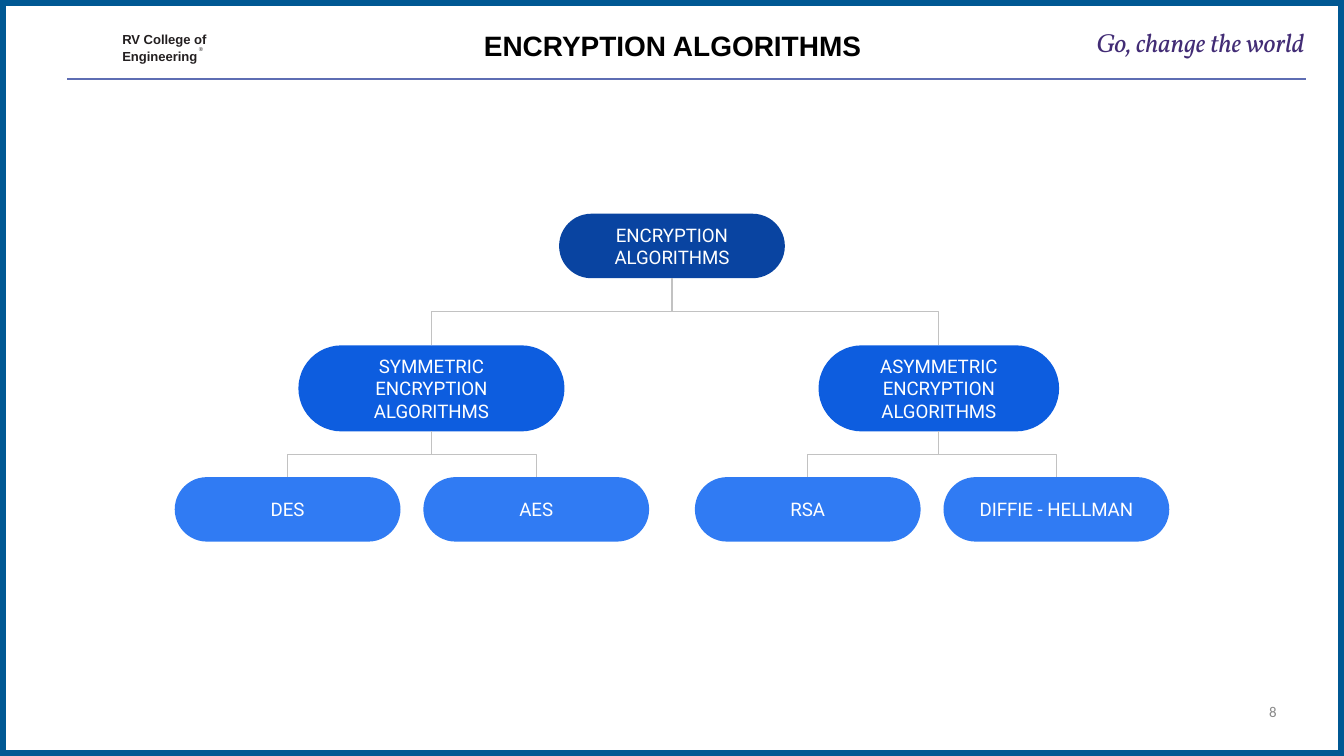
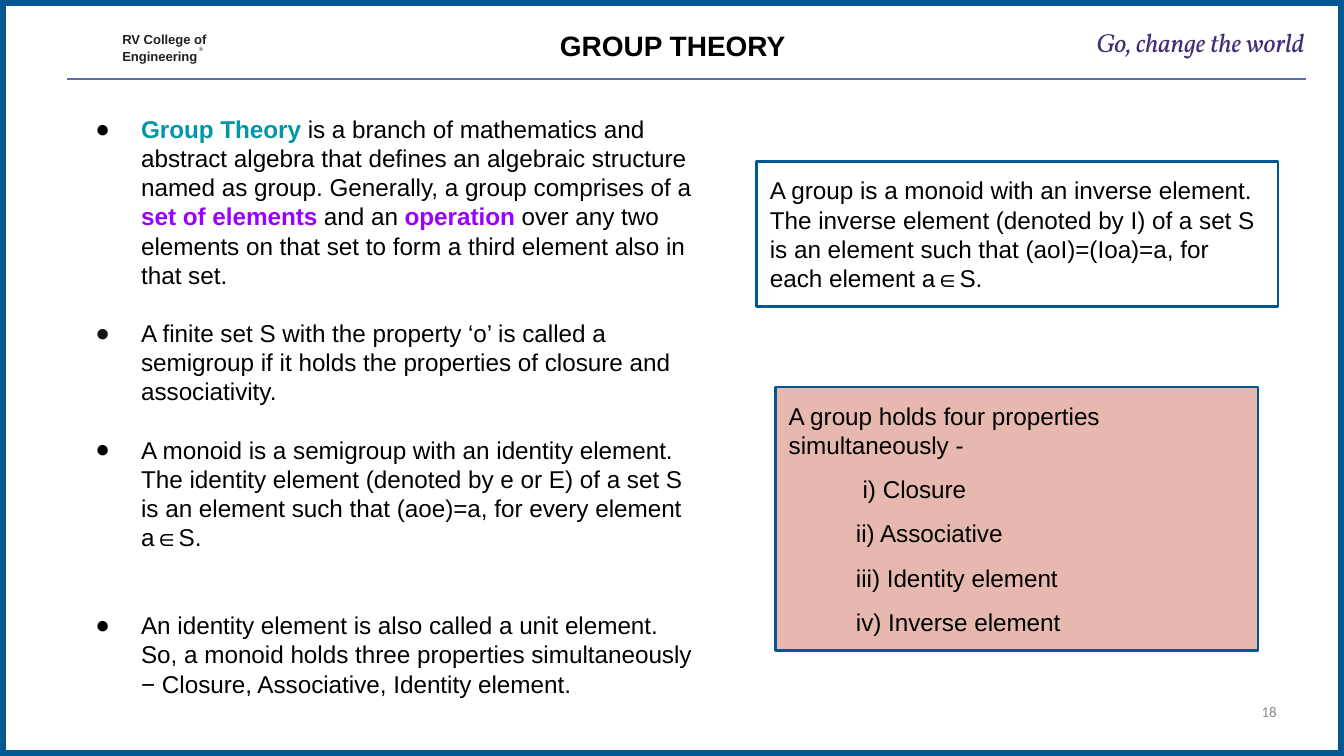
from dataclasses import dataclass
from typing import Any, NamedTuple

from lxml import etree
from pptx import Presentation
from pptx import util as u
from pptx.dml.color import RGBColor
from pptx.enum import shapes, text
from pptx.oxml.ns import qn

PX = 9144  # one px is a hundredth of an inch
KIND = shapes.MSO_SHAPE
WIRE = shapes.MSO_CONNECTOR
ALIGN = text.PP_ALIGN
ANCHOR = text.MSO_ANCHOR


@dataclass(frozen=True)
class Theme:
    white: str = "FFFFFF"
    black: str = "000000"
    frame: str = "005893"
    rule: str = "5E6DB3"
    brand: str = "231F20"
    motto: str = "422C75"
    page: str = "898989"
    wire: str = "C2C2C2"
    root: str = "0944A1"
    branch: str = "0D5DDF"
    leaf: str = "307BF3"
    rose: str = "E6B8AF"
    teal: str = "0097A7"
    violet: str = "9900FF"
    dot: str = "151515"
    sans: str = "Arial"
    tree: str = "Roboto"
    serif: str = "Vollkorn"
    foot: str = "Calibri"
    title_pt: int = 15
    motto_pt: int = 14
    body_pt: int = 13
    tree_pt: int = 10
    page_pt: int = 8
    brand_pt: int = 7
    mark_pt: int = 3


T = Theme()


class Box(NamedTuple):
    x: float
    y: float
    w: float
    h: float

    @property
    def mid(self) -> float:
        return self.x + self.w / 2

    @property
    def base(self) -> float:
        return self.y + self.h


class Node(NamedTuple):
    label: str
    box: Box
    fill: str
    kids: tuple = ()


class Point(NamedTuple):
    runs: tuple  # (text, colour) pairs; coloured runs are bold
    before: float = 0
    dot: str = T.black


def emu(px: float) -> u.Emu:
    return u.Emu(round(px * PX))


def rgb(code: str) -> RGBColor:
    return RGBColor.from_string(code)


# Text

def setup(frame: Any, pad: int = 0, anchor: Any = ANCHOR.TOP) -> Any:
    frame.word_wrap = True
    frame.auto_size = text.MSO_AUTO_SIZE.NONE
    frame.vertical_anchor = anchor
    frame.margin_left = frame.margin_right = emu(pad)
    frame.margin_top = frame.margin_bottom = emu(pad)
    return frame


def write(para: Any, words: str, *, size: float = T.body_pt, color: str = T.black,
          face: str = T.sans, bold: bool = False, slant: bool = False) -> None:
    run = para.add_run()
    run.text = words
    font = run.font
    font.name, font.size = face, u.Pt(size)
    font.bold, font.italic = bold, slant
    font.color.rgb = rgb(color)


def line(frame: Any, words: str = "", *, align: Any = ALIGN.LEFT, before: float = 0,
         after: float = 0, lead: float = 1.0, left: int = 0, hang: int = 0,
         dot: str = "", **style: Any) -> Any:
    """Add a paragraph, using the first one while it is still empty."""
    para = frame.paragraphs[0]
    if para.runs:
        para = frame.add_paragraph()
    para.alignment, para.line_spacing = align, lead
    para.space_before, para.space_after = u.Pt(before), u.Pt(after)
    props = para._p.get_or_add_pPr()
    props.set("marL", str(emu(left)))
    props.set("indent", str(emu(-hang)))
    if dot:
        tint = etree.SubElement(props, qn("a:buClr"))
        etree.SubElement(tint, qn("a:srgbClr")).set("val", dot)
        etree.SubElement(props, qn("a:buChar")).set("char", "●")
    if words:
        write(para, words, **style)
    return para


def label(slide: Any, box: Box) -> Any:
    return setup(slide.shapes.add_textbox(*map(emu, box)).text_frame)


def place(shape: Any, box: Box) -> None:
    shape.left, shape.top, shape.width, shape.height = map(emu, box)


# Shapes

def block(slide: Any, kind: Any, box: Box, fill: str, edge: str = "",
          width: float = 0) -> Any:
    shape = slide.shapes.add_shape(kind, *map(emu, box))
    shape.shadow.inherit = False
    shape.fill.solid()
    shape.fill.fore_color.rgb = rgb(fill)
    if edge:
        shape.line.color.rgb = rgb(edge)
        shape.line.width = u.Pt(width)
    else:
        shape.line.fill.background()
    setup(shape.text_frame, 10, ANCHOR.MIDDLE)
    return shape


def wire(slide: Any, kind: Any, box: Box, color: str, width: float) -> Any:
    conn = slide.shapes.add_connector(
        kind, emu(box.x), emu(box.y), emu(box.x + box.w), emu(box.base))
    conn.line.color.rgb = rgb(color)
    conn.line.width = u.Pt(width)
    etree.SubElement(conn.element.spPr, qn("a:effectLst"))
    return conn


def elbow(slide: Any, top: Box, low: Box) -> None:
    """Run down, across and down: an elbow turned by 270 degrees."""
    drop, span = low.y - top.base, abs(low.mid - top.mid)
    x = (top.mid + low.mid - drop) / 2
    y = (top.base + low.y - span) / 2
    conn = wire(slide, WIRE.ELBOW, Box(x, y, drop, span), T.wire, 0.75)
    xfrm = conn.element.spPr.find(qn("a:xfrm"))
    xfrm.set("rot", str(270 * 60000))
    if low.mid > top.mid:
        xfrm.set("flipH", "1")


# Shared page parts

def page(deck: Any, layout: int, title: str, number: int) -> Any:
    slide = deck.slides.add_slide(deck.slide_layouts[layout])
    full = Box(0, 0, deck.slide_width / PX, deck.slide_height / PX)
    frame = block(slide, KIND.RECTANGLE, full, T.white, T.frame, 6)
    slide.shapes.element.insert(2, frame.element)  # behind the placeholders
    wire(slide, WIRE.STRAIGHT, Box(50, 59, 922, 0), T.rule, 1.25)

    brand = label(slide, Box(91, 22, 68, 25))
    brand.margin_top = emu(1)
    for words in ("RV College of", "Engineering"):
        line(brand, words, lead=1.06, size=T.brand_pt, color=T.brand, bold=True)
    line(label(slide, Box(148, 34, 6, 6)), "®", size=T.mark_pt, color=T.brand)
    line(label(slide, Box(788, 20, 183, 24)), "Go, change the world",
         align=ALIGN.RIGHT, size=T.motto_pt, color=T.motto, face=T.serif, slant=True)
    line(label(slide, Box(720, 523, 230, 13)), str(number), align=ALIGN.RIGHT,
         size=T.page_pt, color=T.page, face=T.foot)

    head = slide.shapes.title
    place(head, Box(321, 17, 359, 34))
    line(setup(head.text_frame, 5, ANCHOR.MIDDLE), title, align=ALIGN.CENTER,
         size=T.title_pt, bold=True)
    return slide


# Slide 1: tree of algorithms

def leaves(x: int, *names: str) -> tuple:
    return tuple(Node(name, Box(x + 185 * i, 355, 168, 48), T.leaf)
                 for i, name in enumerate(names))


TREE = Node("ENCRYPTION\nALGORITHMS", Box(416, 159, 168, 48), T.root, (
    Node("SYMMETRIC ENCRYPTION ALGORITHMS", Box(222, 257, 198, 64), T.branch,
         leaves(130, "DES", "AES")),
    Node("ASYMMETRIC ENCRYPTION ALGORITHMS", Box(609, 257, 179, 64), T.branch,
         leaves(517, "RSA", "DIFFIE - HELLMAN")),
))


def grow(slide: Any, node: Node) -> None:
    pill = block(slide, KIND.ROUNDED_RECTANGLE, node.box, node.fill)
    pill.adjustments[0] = 0.5
    for words in node.label.split("\n"):
        line(pill.text_frame, words, align=ALIGN.CENTER, size=T.tree_pt,
             color=T.white, face=T.tree)
    for kid in node.kids:
        grow(slide, kid)
        elbow(slide, node.box, kid.box)


# Slide 2: group theory

POINTS = (
    Point((
        ("Group Theory", T.teal),
        (" is a branch of mathematics and abstract algebra that defines an algebraic "
         "structure named as group. Generally, a group comprises of a", T.black),
        (" set of elements", T.violet),
        (" and an ", T.black),
        ("operation", T.violet),
        (" over any two elements on that set to form a third element also in that set.",
         T.black))),
    Point((("A finite set S with the property ‘ο’ is called a semigroup if it holds the "
            "properties of closure and associativity.", T.black),), 15.6, T.dot),
    Point((("A monoid is a semigroup with an identity element. The identity element "
            "(denoted by e or E) of a set S is an element such that (aοe)=a, for every "
            "element a∈S.", T.black),), 15.6),
    Point((("An identity element is also called a unit element. So, a monoid holds three "
            "properties simultaneously − Closure, Associative, Identity element.",
            T.black),), 31.6),
)
GROUP = ("A group is a monoid with an inverse element. The inverse element (denoted by I) "
         "of a set S is an element such that (aοI)=(Iοa)=a, for each element a∈S.")
RULES = (("i) Closure", 55), ("ii) Associative", 50),
         ("iii) Identity element", 50), ("iv) Inverse element", 50))


def theory(slide: Any) -> None:
    body = slide.placeholders[1]
    place(body, Box(50, 80, 472, 448))
    frame = setup(body.text_frame, 5)
    for point in POINTS:
        para = line(frame, before=point.before, left=50, hang=34, dot=point.dot)
        for words, color in point.runs:
            write(para, words, color=color, bold=color != T.black)

    card = block(slide, KIND.RECTANGLE, Box(563, 120, 388, 108), T.white, T.frame, 1.5)
    line(card.text_frame, GROUP, after=8)

    card = block(slide, KIND.RECTANGLE, Box(577, 288, 359, 196), T.rose, T.frame, 1.5)
    line(card.text_frame, "A group holds four properties simultaneously -")
    for words, left in RULES:
        last = words == RULES[-1][0]
        line(card.text_frame, words, left=left, before=8, after=8 if last else 0)


def main() -> None:
    deck = Presentation()
    deck.slide_width, deck.slide_height = emu(1000), emu(562.5)
    grow(page(deck, 5, "ENCRYPTION ALGORITHMS", 8), TREE)
    theory(page(deck, 1, "GROUP THEORY", 18))
    deck.save("out.pptx")


if __name__ == "__main__":
    main()
